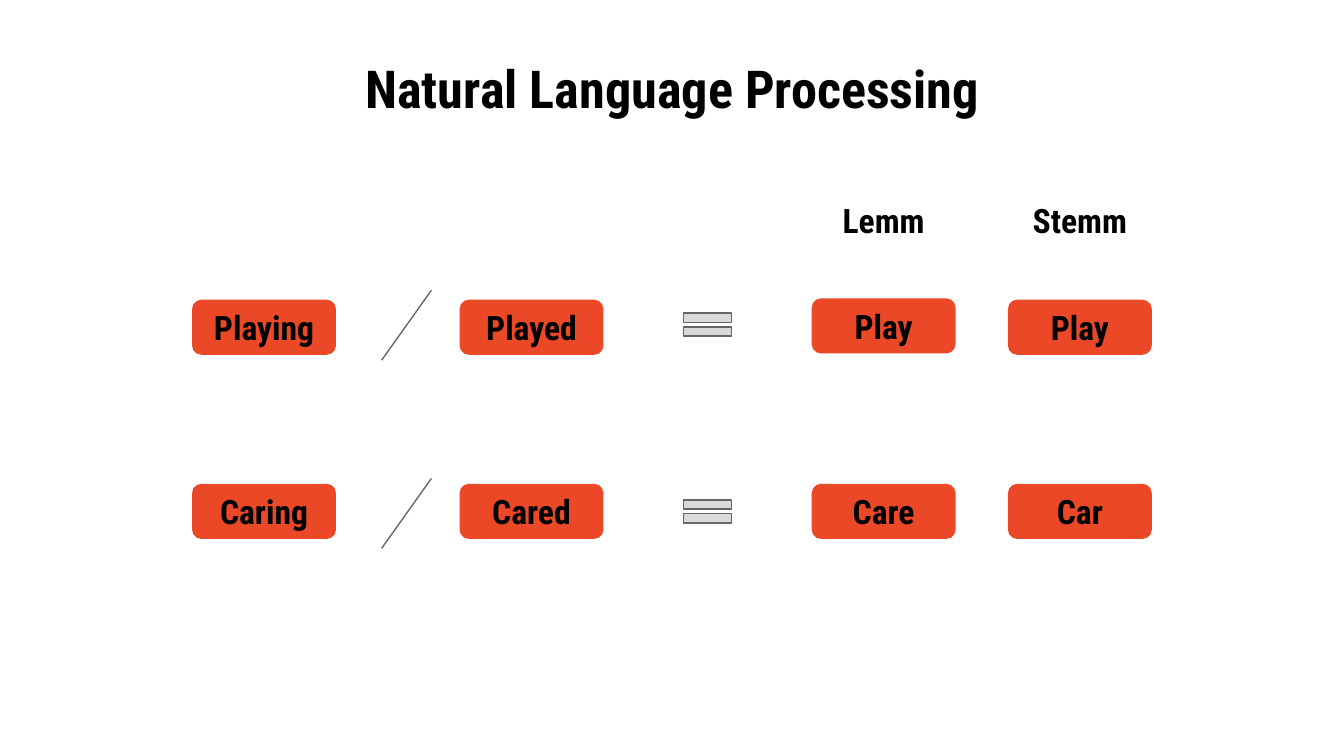
from lxml.etree import SubElement
from pptx import Presentation
from pptx.dml.color import RGBColor
from pptx.enum.shapes import MSO_CONNECTOR, MSO_SHAPE
from pptx.enum.text import MSO_ANCHOR, MSO_AUTO_SIZE, PP_ALIGN
from pptx.oxml.ns import qn
from pptx.util import Inches, Pt


def color(hex_string):
    return RGBColor.from_string(hex_string)


def write_text(shape, text, size):
    frame = shape.text_frame
    frame.text = text
    frame_format = {
        "word_wrap": True,
        "auto_size": MSO_AUTO_SIZE.NONE,
        "vertical_anchor": MSO_ANCHOR.MIDDLE,
        "margin_left": Inches(0.1),
        "margin_right": Inches(0.1),
        "margin_top": Inches(0.1),
        "margin_bottom": Inches(0.1),
    }
    for name, value in frame_format.items():
        setattr(frame, name, value)
    paragraph = frame.paragraphs[0]
    paragraph.alignment = PP_ALIGN.CENTER
    font_format = {"name": "Roboto Condensed", "size": Pt(size), "bold": True}
    for name, value in font_format.items():
        setattr(paragraph.font, name, value)
    paragraph.font.color.rgb = color("000000")


# Widescreen 16:9 slide
presentation = Presentation()
presentation.slide_width = Inches(10)
presentation.slide_height = Inches(10 * 9 / 16)
slide = presentation.slides.add_slide(presentation.slide_layouts[5])

# Title
title = slide.shapes.title
title.left, title.top = Inches(0.5), Inches(0.45)
title.width, title.height = Inches(9), Inches(0.41)
write_text(title, "Natural Language Processing", 28)

# Column headings and word boxes: top, fill, text per column
column_lefts = [1.43, 3.42, 6.04, 7.5]
rows = [
    (1.43, "FFFFFF", [None, None, "Lemm", "Stemm"]),
    (2.23, "EA4827", ["Playing", "Played", "Play", "Play"]),
    (3.6, "EA4827", ["Caring", "Cared", "Care", "Car"]),
]
for top, fill, words in rows:
    for column, (left, word) in enumerate(zip(column_lefts, words)):
        if word is None:
            continue
        # The first lemma sits slightly higher than its row
        box_top = 2.22 if (top, column) == (2.23, 2) else top
        box = slide.shapes.add_shape(
            MSO_SHAPE.ROUNDED_RECTANGLE,
            Inches(left), Inches(box_top), Inches(1.07), Inches(0.41))
        box.shadow.inherit = False
        box.fill.solid()
        box.fill.fore_color.rgb = color(fill)
        box.line.fill.background()
        write_text(box, word, 18)

# Slash and equals sign of each word row
for slash_top, equals_top in [(2.16, 2.27), (3.56, 3.66)]:
    slash = slide.shapes.add_connector(
        MSO_CONNECTOR.STRAIGHT,
        Inches(3.21), Inches(slash_top), Inches(2.84), Inches(slash_top + 0.52))
    SubElement(slash._element.spPr, qn("a:effectLst"))

    equals = slide.shapes.add_shape(
        MSO_SHAPE.MATH_EQUAL,
        Inches(5.02), Inches(equals_top), Inches(0.49), Inches(0.29))
    equals.shadow.inherit = False
    equals.fill.solid()
    equals.fill.fore_color.rgb = color("D9D9D9")

    for shape in (slash, equals):
        shape.line.color.rgb = color("666666")
        shape.line.width = Pt(0.75)

presentation.save("out.pptx")
